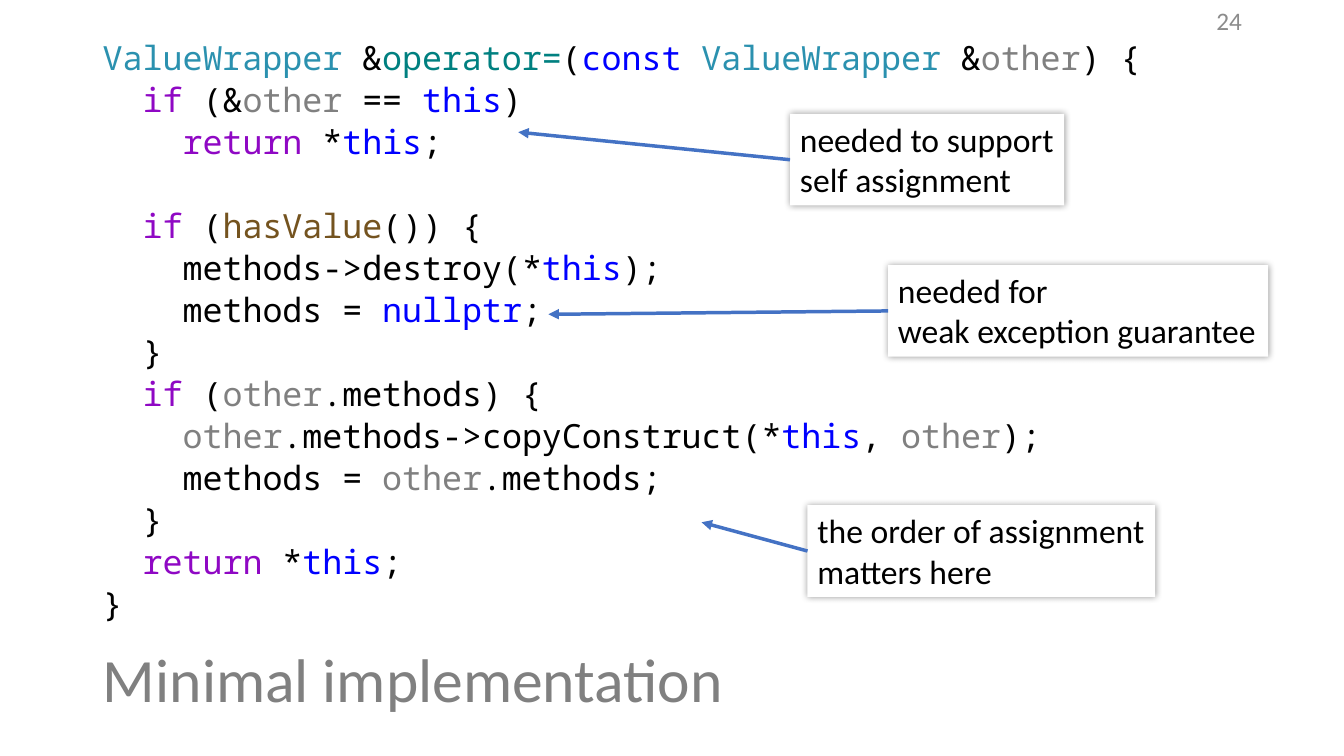
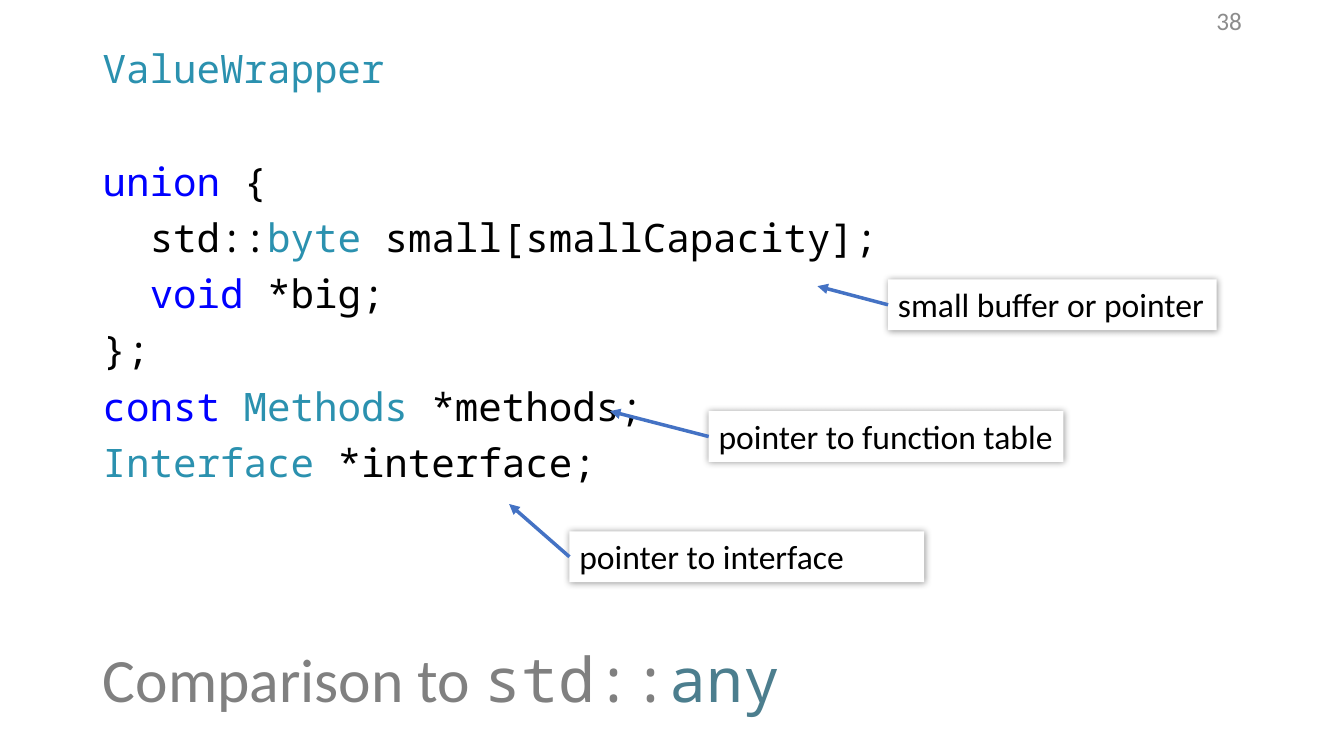
from pptx import Presentation
from pptx.dml.color import RGBColor
from pptx.enum.dml import MSO_THEME_COLOR
from pptx.enum.shapes import MSO_CONNECTOR, MSO_SHAPE
from pptx.enum.text import MSO_ANCHOR, PP_ALIGN
from pptx.oxml import parse_xml
from pptx.oxml.ns import nsdecls, qn
from pptx.util import Cm, Pt

RECT, STRAIGHT = MSO_SHAPE.RECTANGLE, MSO_CONNECTOR.STRAIGHT
MIDDLE, TOP = MSO_ANCHOR.MIDDLE, MSO_ANCHOR.TOP
LEFT, RIGHT = PP_ALIGN.LEFT, PP_ALIGN.RIGHT
BACKGROUND = MSO_THEME_COLOR.BACKGROUND_1

BLACK = RGBColor(0x00, 0x00, 0x00)
GRAY = RGBColor(0x80, 0x80, 0x80)
NUMBER_GRAY = RGBColor(0x8C, 0x8C, 0x8C)
ARROW_BLUE = RGBColor(0x44, 0x72, 0xC4)
TITLE_TEAL = RGBColor(0x4C, 0x7E, 0x8E)
TYPE_TEAL = RGBColor(0x2B, 0x91, 0xAF)
OPERATOR_GREEN = RGBColor(0x00, 0x80, 0x80)
KEYWORD_BLUE = RGBColor(0x00, 0x00, 0xFF)
CONTROL_PURPLE = RGBColor(0x8F, 0x08, 0xC4)
FUNCTION_BROWN = RGBColor(0x74, 0x53, 0x1F)

SANS, MONO = "Calibri", "Noto Sans Mono"
MARGIN, CONTENT_WIDTH = Cm(2.34), Cm(29.21)

TOKEN_COLORS = {
    **dict.fromkeys(("ValueWrapper", "byte", "Methods", "Interface"), TYPE_TEAL),
    **dict.fromkeys(("const", "this", "nullptr", "union", "void"), KEYWORD_BLUE),
    **dict.fromkeys(("if", "return"), CONTROL_PURPLE),
    "operator=": OPERATOR_GREEN,
    "hasValue": FUNCTION_BROWN,
    "other": GRAY,
}

# Code lines are (indent level, tokens split by "|"); None is a blank line.
ASSIGNMENT_CODE = [
    (0, "ValueWrapper| &|operator=|(|const| |ValueWrapper| &|other|) {"),
    (1, "if| (&|other| == |this|)"),
    (2, "return| *|this|;"),
    None,
    (1, "if| (|hasValue|()) {"),
    (2, "methods->destroy(*|this|);"),
    (2, "methods = |nullptr|;"),
    (1, "}"),
    (1, "if| (|other|.methods) {"),
    (2, "other|.methods->copyConstruct(*|this|, |other|);"),
    (2, "methods = |other|.methods;"),
    (1, "}"),
    (1, "return| *|this|;"),
    (0, "}"),
]
LAYOUT_CODE = [
    (0, "ValueWrapper"),
    None,
    (0, "union| {"),
    (1, "std::|byte| small[smallCapacity];"),
    (1, "void| *big;"),
    (0, "};"),
    (0, "const| |Methods| *methods;"),
    (0, "Interface| *interface;"),
]

# Callouts are (text, line count, left, top, width, arrow tip), in cm.
ASSIGNMENT_CALLOUTS = [
    ("needed for\nweak exception guarantee", 2, 22.38, 6.68, 9.58, (13.82, 7.92)),
    ("the order of assignment matters here", 2, 20.35, 12.73, 8.76, (17.68, 13.16)),
    ("needed to support self assignment", 2, 19.91, 2.87, 6.91, (13.06, 3.33)),
]
LAYOUT_CALLOUTS = [
    ("small buffer or pointer", 1, 22.38, 7.04, 8.28, (20.6, 7.21)),
    ("pointer to function table", 1, 17.86, 10.36, 8.94, (15.37, 10.36)),
    ("pointer to interface", 1, 14.35, 13.39, 8.94, (12.83, 12.7)),
]


def set_font(font, name, size, color):
    font.name, font.size, font.color.rgb = name, Pt(size), color


def add_title(slide, pieces):
    title = slide.shapes.title
    title.left, title.top = MARGIN, Cm(15.37)
    title.width, title.height = CONTENT_WIDTH, Cm(3.68)
    title.text_frame.vertical_anchor = MIDDLE
    p = title.text_frame.paragraphs[0]
    p.alignment, p.line_spacing = LEFT, 0.9
    for text, name, color in pieces:
        r = p.add_run()
        r.text = text
        set_font(r.font, name, 44, color)


def add_number(slide, number):
    tf = slide.shapes.add_textbox(Cm(23.93), 0, Cm(7.62), Cm(1.02)).text_frame
    tf.word_wrap, tf.vertical_anchor = True, MIDDLE
    p = tf.paragraphs[0]
    p.text, p.alignment = str(number), RIGHT
    set_font(p.font, SANS, 18, NUMBER_GRAY)


def add_code(slide, lines, size, pitch):
    """Set code at a fixed line pitch, indenting two characters per level."""
    tf = slide.shapes.add_textbox(MARGIN, Cm(0.76), CONTENT_WIDTH, Cm(14.6)).text_frame
    tf.word_wrap, tf.vertical_anchor = True, TOP
    p, gap = tf.paragraphs[0], 0
    for line in lines:
        if line is None:
            gap = pitch
            continue
        level, tokens = line
        if p.runs:
            p = tf.add_paragraph()
        p.line_spacing, p.space_before = Pt(pitch), Pt(gap)
        gap = 0
        p._p.get_or_add_pPr().set("marL", str(Pt(level * 1.2 * size)))
        p.font.name, p.font.size = MONO, Pt(size)
        for token in tokens.split("|"):
            r = p.add_run()
            r.text = token
            set_font(r.font, MONO, size, TOKEN_COLORS.get(token, BLACK))


def add_callout(slide, text, line_count, left, top, width, tip):
    """Add a shadowed note with an arrow from its left edge to the tip."""
    s = slide.shapes.add_shape(
        RECT, Cm(left), Cm(top), Cm(width), Cm(0.25 + 1.03 * line_count))
    s.fill.solid()
    s.fill.fore_color.theme_color = BACKGROUND
    s.line.fill.background()
    s.shadow.inherit = False
    s._element.spPr.find(qn("a:effectLst")).append(parse_xml(
        f'<a:outerShdw {nsdecls("a")} blurRad="{Pt(5)}" algn="ctr" rotWithShape="0">'
        '<a:srgbClr val="000000"><a:alpha val="40000"/></a:srgbClr></a:outerShdw>'))
    tf = s.text_frame
    tf.word_wrap, tf.vertical_anchor = True, TOP
    p = tf.paragraphs[0]
    p.text, p.alignment = text, LEFT
    set_font(p.font, SANS, 24, BLACK)

    arrow = slide.shapes.add_connector(STRAIGHT, s.left, s.top, *map(Cm, tip))
    arrow.begin_connect(s, 1)
    arrow.line.color.rgb, arrow.line.width = ARROW_BLUE, Pt(2.5)
    arrow.line._get_or_add_ln().append(
        parse_xml(f'<a:tailEnd {nsdecls("a")} type="triangle"/>'))
    arrow._element.spPr.append(parse_xml(f'<a:effectLst {nsdecls("a")}/>'))


def add_code_slide(prs, number, title, code, size, pitch, callouts):
    slide = prs.slides.add_slide(prs.slide_layouts[5])
    add_title(slide, title)
    add_code(slide, code, size, pitch)
    add_number(slide, number)
    for callout in callouts:
        add_callout(slide, *callout)


def main():
    prs = Presentation()
    prs.slide_width, prs.slide_height = Cm(33.87), Cm(19.05)
    add_code_slide(prs, 24, [("Minimal implementation", SANS, GRAY)],
                   ASSIGNMENT_CODE, 23.8, 30, ASSIGNMENT_CALLOUTS)
    add_code_slide(prs, 38, [("Comparison to ", SANS, GRAY), ("std::", MONO, GRAY),
                             ("any", MONO, TITLE_TEAL)],
                   LAYOUT_CODE, 28, 40.2, LAYOUT_CALLOUTS)
    prs.save("out.pptx")


if __name__ == "__main__":
    main()
